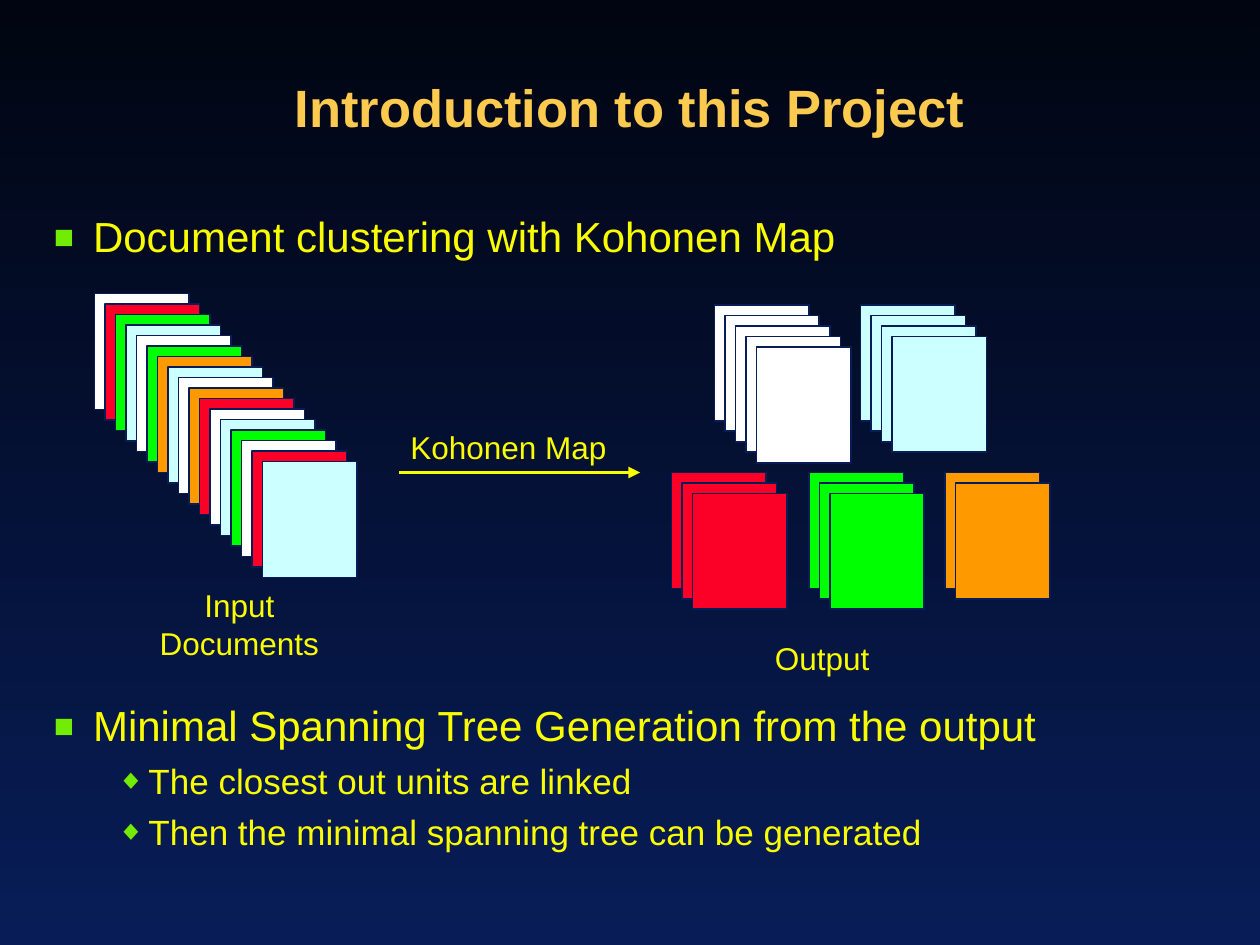
from dataclasses import dataclass

from lxml.etree import SubElement
from pptx import Presentation
from pptx.dml.color import RGBColor
from pptx.enum.shapes import MSO_CONNECTOR, MSO_SHAPE
from pptx.enum.text import MSO_ANCHOR, MSO_AUTO_SIZE, PP_ALIGN
from pptx.oxml.ns import qn
from pptx.util import Inches, Pt

NAVY = RGBColor(0x08, 0x1D, 0x58)
NIGHT = RGBColor(0x01, 0x05, 0x11)
GOLD = RGBColor(0xFB, 0xCA, 0x4F)
YELLOW = RGBColor(0xFA, 0xFD, 0x00)
WHITE = RGBColor(0xFF, 0xFF, 0xFF)
RED = RGBColor(0xFC, 0x01, 0x28)
GREEN = RGBColor(0x00, 0xFF, 0x00)
CYAN = RGBColor(0xCC, 0xFF, 0xFF)
ORANGE = RGBColor(0xFF, 0x99, 0x00)
LIME = "72EC04"

STEP = 1 / 12  # shift from one sheet to the next, in inches
SHEET = (0.75, 0.92)


@dataclass
class Stack:
    left: float
    top: float
    fills: list


@dataclass
class Label:
    box: tuple
    lines: list
    size: int = 18
    color: RGBColor = YELLOW
    bold: bool = False
    wrap: bool = False
    spacing: float = 1.0
    fit: MSO_AUTO_SIZE = MSO_AUTO_SIZE.SHAPE_TO_FIT_TEXT
    anchor: MSO_ANCHOR = MSO_ANCHOR.TOP


@dataclass
class Point:
    text: str
    mark: str
    size: int
    margin: float
    hang: float
    before: float
    level: int = 0


STACKS = [
    Stack(0.75, 2.33, [WHITE, RED, GREEN, CYAN, WHITE, GREEN, ORANGE, CYAN, WHITE,
                       ORANGE, RED, WHITE, CYAN, GREEN, WHITE, RED, CYAN]),
    Stack(5.67, 2.42, [WHITE] * 5),
    Stack(6.83, 2.42, [CYAN] * 4),
    Stack(5.33, 3.75, [RED] * 3),
    Stack(6.42, 3.75, [GREEN] * 3),
    Stack(7.5, 3.75, [ORANGE] * 2),
]

LABELS = [
    Label((0.25, 0.25, 9.5, 1.25), ["Introduction to this Project"],
          30, GOLD, True, True, 0.9, MSO_AUTO_SIZE.NONE, MSO_ANCHOR.MIDDLE),
    Label((1.12, 4.6, 1.56, 0.7), ["Input", "Documents"]),
    Label((3.11, 3.35, 1.85, 0.4), ["Kohonen Map"]),
    Label((6, 5.02, 1.05, 0.4), ["Output"]),
]

# The second point stands below the drawing.
POINTS = [
    Point("Document clustering with Kohonen Map", "■", 24, 0.31, 0.31, 0),
    Point("Minimal Spanning Tree Generation from the output", "■", 24, 0.31, 0.31, 253.5),
    Point("The closest out units are linked", "◆", 20, 0.75, 0.25, 7.5, 1),
    Point("Then the minimal spanning tree can be generated", "◆", 20, 0.75, 0.25, 7.5, 1),
]


def style(font, **values) -> None:
    color = values.pop("color")
    for name, value in {"name": "Arial", **values}.items():
        setattr(font, name, value)
    font.color.rgb = color


def add_label(slide, label: Label) -> None:
    frame = slide.shapes.add_textbox(*map(Inches, label.box)).text_frame
    frame.word_wrap = label.wrap
    frame.auto_size = label.fit
    frame.vertical_anchor = label.anchor
    frame.text = "\n".join(label.lines)
    for para in frame.paragraphs:
        para.alignment = PP_ALIGN.CENTER
        para.line_spacing = label.spacing
        style(para.font, size=Pt(label.size), bold=label.bold, color=label.color)


def add_mark(para, point: Point) -> None:
    """Give the paragraph a coloured bullet and a hanging indent."""
    props = para._p.get_or_add_pPr()
    props.set("marL", str(Inches(point.margin)))
    props.set("indent", str(-Inches(point.hang)))
    color = SubElement(props, qn("a:buClr"))
    SubElement(color, qn("a:srgbClr"), val=LIME)
    SubElement(props, qn("a:buSzPct"), val="80000")
    SubElement(props, qn("a:buFont"), typeface="Arial")
    SubElement(props, qn("a:buChar"), char=point.mark)


def add_points(slide, points: list) -> None:
    box = slide.shapes.add_textbox(Inches(0.33), Inches(1.67), Inches(9.42), Inches(5.58))
    frame = box.text_frame
    frame.word_wrap = True
    for i, point in enumerate(points):
        para = frame.add_paragraph() if i else frame.paragraphs[0]
        para.text = point.text
        para.level = point.level
        add_mark(para, point)
        para.line_spacing = 0.9
        para.space_before = Pt(point.before)
        style(para.font, size=Pt(point.size), color=YELLOW)


def add_stack(slide, stack: Stack) -> None:
    for i, fill in enumerate(stack.fills):
        place = (stack.left + i * STEP, stack.top + i * STEP, *SHEET)
        sheet = slide.shapes.add_shape(MSO_SHAPE.RECTANGLE, *map(Inches, place))
        sheet.shadow.inherit = False
        sheet.fill.solid()
        sheet.fill.fore_color.rgb = fill
        sheet.line.color.rgb = NAVY
        sheet.line.width = Pt(1)


def add_arrow(slide) -> None:
    ends = map(Inches, (3.17, 3.75, 5.08, 3.75))
    arrow = slide.shapes.add_connector(MSO_CONNECTOR.STRAIGHT, *ends)
    arrow.line.color.rgb = YELLOW
    arrow.line.width = Pt(2.25)
    SubElement(arrow.line._get_or_add_ln(), qn("a:tailEnd"), type="triangle")
    SubElement(arrow._element.spPr, qn("a:effectLst"))


def paint_back(slide) -> None:
    fill = slide.background.fill
    fill.gradient()
    fill.gradient_angle = 270
    for stop, color, place in zip(fill.gradient_stops, (NIGHT, NAVY), (0, 1)):
        stop.color.rgb = color
        stop.position = place


def main() -> None:
    deck = Presentation()
    deck.slide_width, deck.slide_height = Inches(10), Inches(7.5)
    slide = deck.slides.add_slide(deck.slide_layouts[6])
    paint_back(slide)
    add_points(slide, POINTS)
    for stack in STACKS:
        add_stack(slide, stack)
    add_arrow(slide)
    for label in LABELS:
        add_label(slide, label)
    deck.save("out.pptx")


if __name__ == "__main__":
    main()
